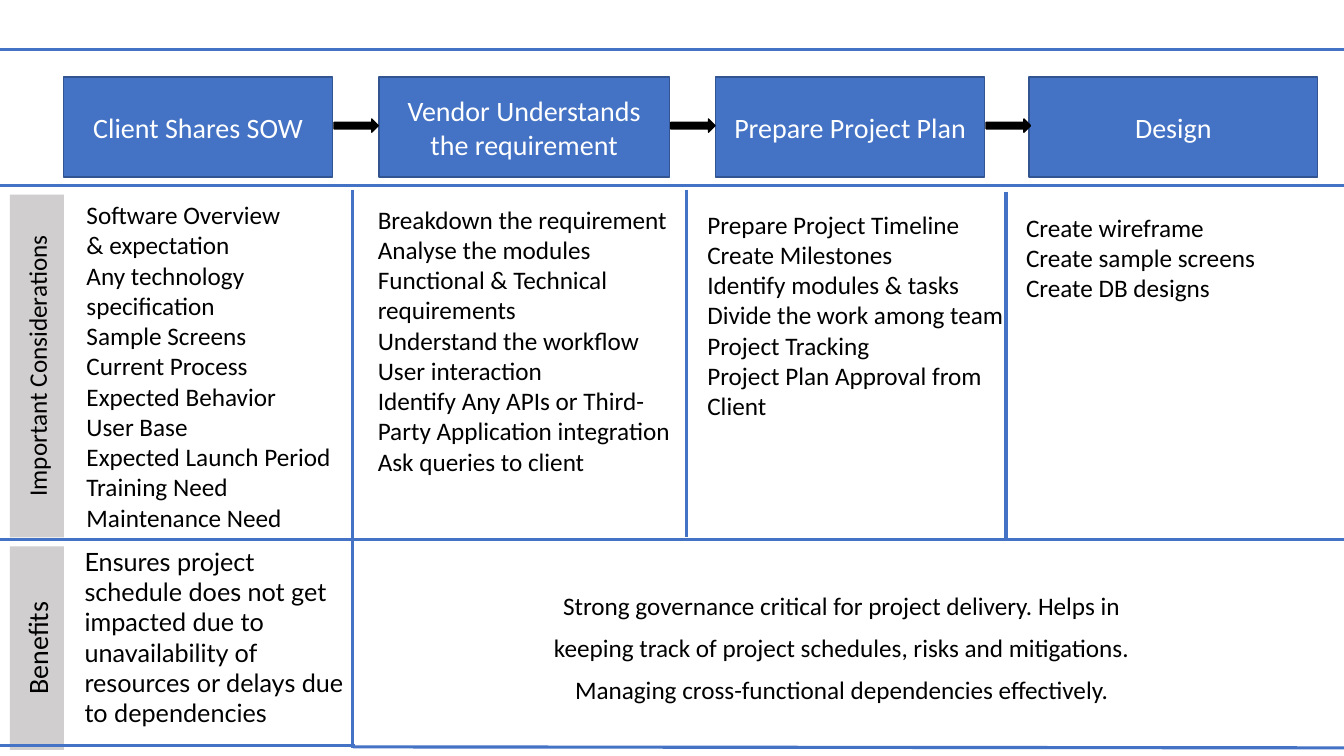
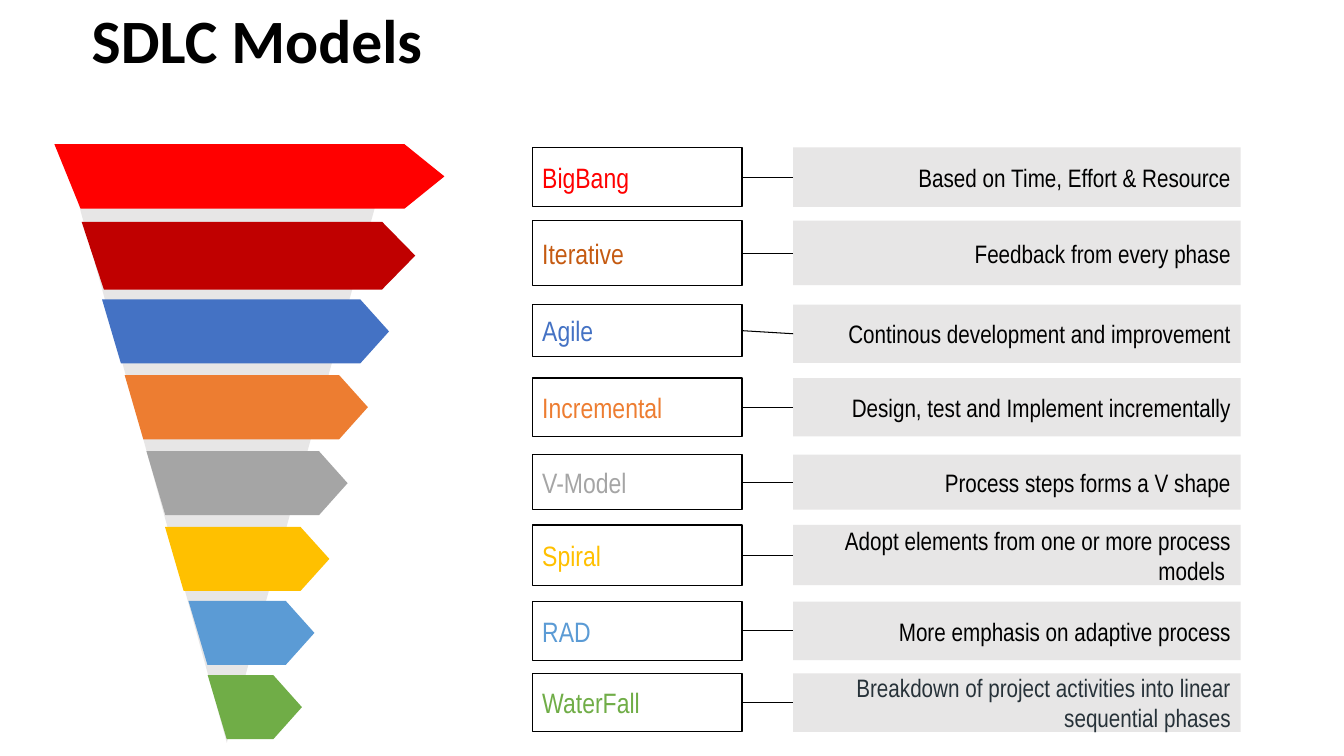
import pptx
import pptx.dml.color
import pptx.enum.shapes
import pptx.enum.text
import pptx.oxml.xmlchemy
import pptx.util

Pt = pptx.util.Pt
RGB = pptx.dml.color.RGBColor
PRESET = pptx.enum.shapes.MSO_SHAPE
ALIGN = pptx.enum.text.PP_ALIGN
ANCHOR = pptx.enum.text.MSO_ANCHOR

BLACK = RGB(0x00, 0x00, 0x00)
WHITE = RGB(0xFF, 0xFF, 0xFF)
BLUE = RGB(0x44, 0x72, 0xC4)
NAVY = RGB(0x32, 0x54, 0x91)
PALE_GREY = RGB(0xE7, 0xE6, 0xE6)
LABEL_GREY = RGB(0xD0, 0xCE, 0xCE)
RED = RGB(0xFF, 0x00, 0x00)
DARK_RED = RGB(0xC0, 0x00, 0x00)
RUST = RGB(0xC5, 0x5A, 0x11)
ORANGE = RGB(0xED, 0x7D, 0x31)
GREY = RGB(0xA5, 0xA5, 0xA5)
GOLD = RGB(0xFF, 0xC0, 0x00)
SKY = RGB(0x5B, 0x9B, 0xD5)
GREEN = RGB(0x70, 0xAD, 0x47)
SLATE = RGB(0x27, 0x32, 0x39)

BODY_FONT = "Calibri"
BENEFIT_FONT = "Lato"
MODEL_FONT = "Arial Narrow"

SLIDE_WIDTH, SLIDE_HEIGHT = 960, 540
INSET = 7.2

STAGE_TOP, STAGE_HEIGHT = 55, 71.5
ARROW_WIDTH, ARROW_HEIGHT = 31.7, 9.4
STAGES = [
    ("Client Shares SOW", 45.4, 192.2),
    ("Vendor Understands the requirement", 270.7, 207.4),
    ("Prepare Project Plan", 511.2, 192.2),
    ("Design", 735.1, 206),
]
CONSIDERATIONS = [
    ((54.7, 139, 208, 290.9), [
        "Software Overview", "& expectation", "Any technology specification",
        "Sample Screens", "Current Process", "Expected Behavior", "User Base",
        "Expected Launch Period", "Training Need", "Maintenance Need"]),
    ((262.8, 142.2, 227.5, 247), [
        "Breakdown the requirement", "Analyse the modules",
        "Functional & Technical requirements", "Understand the workflow",
        "User interaction",
        "Identify Any APIs or Third-Party Application integration",
        "Ask queries to client"]),
    ((498.2, 145.8, 227.5, 225.4), [
        "Prepare Project Timeline", "Create Milestones",
        "Identify modules & tasks", "Divide the work among team",
        "Project Tracking", "Project Plan Approval from Client"]),
    ((725.8, 147.9, 227.5, 159.8), [
        "Create wireframe", "Create sample screens", "Create DB designs"]),
]
ROW_LABELS = [
    ("Important Considerations", 139, 244.8, 18),
    ("Benefits", 390.2, 145.4, 20),
]
SCHEDULE_BENEFIT = ("Ensures project schedule does not get impacted due to "
                    "unavailability of resources or delays due to dependencies")
GOVERNANCE_BENEFITS = [
    "Strong governance critical for project delivery. Helps in",
    "keeping track of project schedules, risks and mitigations.",
    "Managing cross-functional dependencies effectively.",
]
DIVIDERS = [
    (0, 35.3, SLIDE_WIDTH, 35.3),
    (0, 132.5, SLIDE_WIDTH, 132.5),
    (0, 385.2, SLIDE_WIDTH, 385.2),
    (0, 532.8, 253.4, 532.8),
    (252, 533.5, SLIDE_WIDTH, 534.2),
    (252, 135.4, 252, 534.2),
    (490.3, 135.4, 490.3, 383.8),
    (718.6, 136.8, 718.6, 385.2),
]

MODELS_TITLE = "SDLC Models"
NAME_LEFT, NAME_WIDTH = 380.2, 149.8
SUMMARY_LEFT, SUMMARY_WIDTH = 566.6, 319.7
MODELS = [
    ("BigBang", RED, "Based on Time, Effort & Resource", BLACK, 105.3, 42.5, 42.5),
    ("Iterative", RUST, "Feedback from every phase", BLACK, 157.7, 46.1, 46.1),
    ("Agile", BLUE, "Continous development and improvement", BLACK, 217.5, 37.4, 41.8),
    ("Incremental", ORANGE, "Design, test and Implement incrementally", BLACK, 270, 41.8, 41.8),
    ("V-Model", GREY, "Process steps forms a V shape", BLACK, 324.7, 39.4, 39.4),
    ("Spiral", GOLD, "Adopt elements from one or more process models ", BLACK, 375, 43, 43),
    ("RAD", SKY, "More emphasis on adaptive process", BLACK, 429.8, 41.8, 41.8),
    ("WaterFall", GREEN, "Breakdown of project activities into linear sequential phases",
     SLATE, 481, 41.8, 41.8),
]
FUNNEL_BACK = [(277.9, 111.6), (46.8, 111.6), (162, 530.6)]
FUNNEL_TIERS = [
    (RED, 38.9, 57.6, 289, 317.5, 103, 149),
    (DARK_RED, 58.3, 74.2, 272.9, 296.6, 158.4, 206.8),
    (BLUE, 72.9, 86.4, 257.4, 277.9, 213.9, 259.6),
    (ORANGE, 89.1, 102.4, 242.3, 262.8, 268, 313.8),
    (GREY, 104.6, 118.1, 227.9, 248.3, 322.3, 368),
    (GOLD, 117.9, 131.2, 214.7, 235.3, 376.4, 422.1),
    (SKY, 134.6, 148.2, 204.1, 224.6, 429.2, 475),
    (GREEN, 148.4, 162, 195.3, 215.7, 482.3, 528),
]


def write(frame, lines, size, colour, font=BODY_FONT, align=ALIGN.LEFT,
          anchor=ANCHOR.TOP, bold=False):
    frame.word_wrap = True
    frame.auto_size = pptx.enum.text.MSO_AUTO_SIZE.NONE
    frame.vertical_anchor = anchor
    frame.text = "\n".join(lines)
    for paragraph in frame.paragraphs:
        paragraph.alignment = align
        paragraph.font.size = Pt(size)
        paragraph.font.name = font
        paragraph.font.bold = bold
        paragraph.font.color.rgb = colour


def add_text(slide, box, lines, **style):
    frame = slide.shapes.add_textbox(*map(Pt, box)).text_frame
    write(frame, lines, 18, BLACK, **style)
    return frame


def paint(shape, fill=None, outline=None, weight=1):
    shape.shadow.inherit = False
    if fill is None:
        shape.fill.background()
    else:
        shape.fill.solid()
        shape.fill.fore_color.rgb = fill
    if outline is None:
        shape.line.fill.background()
    else:
        shape.line.color.rgb = outline
        shape.line.width = Pt(weight)


def add_block(slide, box, preset=PRESET.RECTANGLE, **look):
    block = slide.shapes.add_shape(preset, *map(Pt, box))
    paint(block, **look)
    return block


def add_line(slide, ends, colour, weight):
    line = slide.shapes.add_connector(
        pptx.enum.shapes.MSO_CONNECTOR.STRAIGHT, *map(Pt, ends))
    line.line.color.rgb = colour
    line.line.width = Pt(weight)
    line._element.spPr.append(pptx.oxml.xmlchemy.OxmlElement("a:effectLst"))
    return line


def add_outline(slide, points, fill):
    corners = [(Pt(x), Pt(y)) for x, y in points]
    builder = slide.shapes.build_freeform(*corners[0])
    builder.add_line_segments(corners[1:], close=True)
    paint(builder.convert_to_shape(), fill=fill)


def build_process(deck):
    slide = deck.slides.add_slide(deck.slide_layouts[6])
    for name, left, width in STAGES:
        stage = add_block(slide, (left, STAGE_TOP, width, STAGE_HEIGHT),
                          fill=BLUE, outline=NAVY)
        write(stage.text_frame, [name], 20, WHITE, align=ALIGN.CENTER,
              anchor=ANCHOR.MIDDLE)

    for box, points in CONSIDERATIONS:
        add_text(slide, box, points)

    for label, top, height, size in ROW_LABELS:
        row = add_block(slide, (7, top, 38.7, height), fill=LABEL_GREY)
        write(row.text_frame, [label], size, BLACK, align=ALIGN.CENTER,
              anchor=ANCHOR.MIDDLE)
        row.text_frame._txBody.bodyPr.set("vert", "vert270")

    add_text(slide, (53.3, 386.6, 205.2, 116.6), [SCHEDULE_BENEFIT],
             font=BENEFIT_FONT)
    governance = add_text(slide, (252, 411.8, 695.5, 93.6),
                          GOVERNANCE_BENEFITS, align=ALIGN.CENTER)
    governance.margin_left = Pt(INSET + 2.9)
    for index, paragraph in enumerate(governance.paragraphs):
        paragraph.line_spacing = 1.3
        paragraph.space_before = Pt(2 if index else 0)

    for ends in DIVIDERS:
        add_line(slide, ends, BLUE, 2.25)

    arrow_top = STAGE_TOP + (STAGE_HEIGHT - ARROW_HEIGHT) / 2 - 1
    for _, left, width in STAGES[:-1]:
        add_block(slide, (left + width + 1, arrow_top, ARROW_WIDTH, ARROW_HEIGHT),
                  PRESET.RIGHT_ARROW, fill=BLACK, outline=BLACK)


def build_models(deck):
    slide = deck.slides.add_slide(deck.slide_layouts[5])
    title = slide.shapes.title
    title.left, title.top, title.width, title.height = map(
        Pt, (58.3, -3.6, 828, 69.1))
    write(title.text_frame, [MODELS_TITLE], 44, BLACK, anchor=ANCHOR.MIDDLE,
          bold=True)
    title.text_frame.paragraphs[0].line_spacing = 0.9

    add_outline(slide, FUNNEL_BACK, PALE_GREY)
    for colour, top_left, bottom_left, shoulder, tip, top, bottom in FUNNEL_TIERS:
        add_outline(slide, [
            (top_left, top), (bottom_left, bottom), (shoulder, bottom),
            (tip, (top + bottom) / 2), (shoulder, top)], colour)

    for name, colour, summary, ink, top, name_height, summary_height in MODELS:
        name_box = add_block(slide, (NAME_LEFT, top, NAME_WIDTH, name_height),
                             outline=BLACK, weight=0.75)
        summary_box = add_block(
            slide, (SUMMARY_LEFT, top, SUMMARY_WIDTH, summary_height),
            fill=PALE_GREY)
        write(name_box.text_frame, [name], 20, colour, MODEL_FONT,
              anchor=ANCHOR.MIDDLE)
        write(summary_box.text_frame, [summary], 18, ink, MODEL_FONT,
              ALIGN.RIGHT, ANCHOR.MIDDLE)
        for frame in (name_box.text_frame, summary_box.text_frame):
            frame.margin_top = frame.margin_bottom = Pt(INSET)
        link = add_line(slide, (NAME_LEFT + NAME_WIDTH, top + name_height / 2,
                                SUMMARY_LEFT, top + summary_height / 2),
                        BLACK, 0.75)
        link.begin_connect(name_box, 3)
        link.end_connect(summary_box, 1)


def main():
    deck = pptx.Presentation()
    deck.slide_width = Pt(SLIDE_WIDTH)
    deck.slide_height = Pt(SLIDE_HEIGHT)
    build_process(deck)
    build_models(deck)
    deck.save("out.pptx")


if __name__ == "__main__":
    main()
